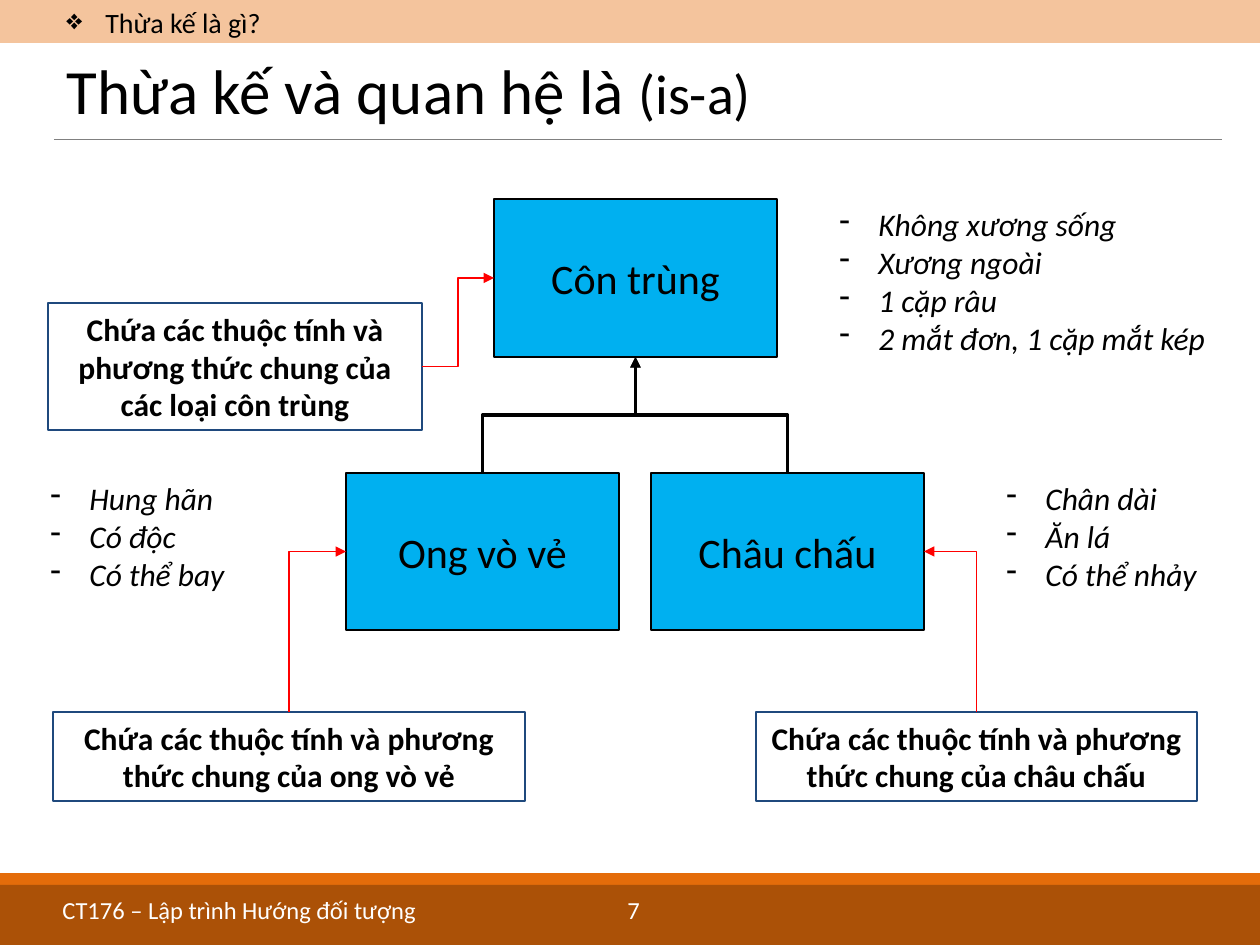
from dataclasses import dataclass
from typing import Optional

from lxml.etree import SubElement
from pptx import Presentation
from pptx.dml.color import RGBColor
from pptx.enum.shapes import MSO_CONNECTOR, MSO_SHAPE
from pptx.enum.text import MSO_ANCHOR, MSO_AUTO_SIZE, PP_ALIGN
from pptx.oxml.ns import qn
from pptx.util import Emu, Pt


@dataclass(frozen=True)
class Theme:
    font: str = "Calibri"
    black: str = "000000"
    white: str = "FFFFFF"
    orange: str = "E46C0A"
    brown: str = "984807"
    blue: str = "00B0F0"
    navy: str = "1F497D"
    red: str = "FF0000"
    gray: str = "808080"
    title: int = 36
    title_suffix: int = 32
    class_name: int = 24
    body: int = 18
    section: int = 16
    footer: int = 14


@dataclass(frozen=True)
class Rect:
    left: int
    top: int
    width: int
    height: int

    def emu(self) -> tuple:
        return px(self.left), px(self.top), px(self.width), px(self.height)


@dataclass(frozen=True)
class Node:
    name: str
    rect: Rect
    text: str
    is_note: bool = False


@dataclass(frozen=True)
class Link:
    start: str
    start_site: int
    end: str
    end_site: int
    color: str
    weight: int
    preset: str = "bentConnector3"


@dataclass(frozen=True)
class Listing:
    rect: Rect
    bullet: str
    items: tuple
    size: int
    italic: bool = True
    anchor: MSO_ANCHOR = MSO_ANCHOR.TOP


THEME = Theme()
TOP, LEFT, BOTTOM, RIGHT = range(4)
INDENT = 39

BANDS = (
    (Rect(0, 0, 1260, 43), THEME.orange, 40),
    (Rect(0, 873, 1260, 72), THEME.orange, 100),
    (Rect(0, 885, 1260, 60), THEME.brown, 75),
)
NODES = (
    Node("insect", Rect(494, 199, 283, 158), "Côn trùng"),
    Node("grasshopper", Rect(651, 473, 273, 157), "Châu chấu"),
    Node("wasp", Rect(346, 473, 273, 157), "Ong vò vẻ"),
    Node("insect note", Rect(48, 303, 374, 127),
         "Chứa các thuộc tính và phương thức chung của các loại côn trùng", True),
    Node("wasp note", Rect(53, 712, 472, 89),
         "Chứa các thuộc tính và phương thức chung của ong vò vẻ", True),
    Node("grasshopper note", Rect(756, 712, 441, 89),
         "Chứa các thuộc tính và phương thức chung của châu chấu", True),
)
LINKS = (
    Link("wasp", TOP, "insect", BOTTOM, THEME.black, 2),
    Link("grasshopper", TOP, "insect", BOTTOM, THEME.black, 2),
    Link("insect note", RIGHT, "insect", LEFT, THEME.red, 1),
    Link("wasp note", TOP, "wasp", LEFT, THEME.red, 1, "bentConnector2"),
    Link("grasshopper note", TOP, "grasshopper", RIGHT, THEME.red, 1, "bentConnector2"),
)
LISTINGS = (
    Listing(Rect(54, 2, 1082, 41), "❖", ("Thừa kế là gì?",),
            THEME.section, False, MSO_ANCHOR.MIDDLE),
    Listing(Rect(827, 199, 396, 165), "-",
            ("Không xương sống", "Xương ngoài", "1 cặp râu", "2 mắt đơn, 1 cặp mắt kép"),
            THEME.body),
    Listing(Rect(994, 473, 228, 127), "-", ("Chân dài", "Ăn lá", "Có thể nhảy"), THEME.body),
    Listing(Rect(38, 473, 228, 127), "-", ("Hung hãn", "Có độc", "Có thể bay"), THEME.body),
)


def px(length: int) -> Emu:
    return Emu(round(length * 914400 / 126))


def set_font(font, size: int, color: str = THEME.black, bold: bool = False,
             italic: bool = False) -> None:
    font.name, font.size, font.bold, font.italic = THEME.font, Pt(size), bold, italic
    font.color.rgb = RGBColor.from_string(color)


def add_rect(page, rect: Rect, fill: Optional[str], line: Optional[str] = None, alpha: int = 100):
    box = page.shapes.add_shape(MSO_SHAPE.RECTANGLE, *rect.emu())
    box.shadow.inherit = False
    if fill:
        box.fill.solid()
        box.fill.fore_color.rgb = RGBColor.from_string(fill)
        if alpha < 100:
            color = box.fill._xPr.find(qn("a:solidFill"))[0]
            SubElement(color, qn("a:alpha"), val=str(alpha * 1000))
    else:
        box.fill.background()
    if line:
        box.line.color.rgb = RGBColor.from_string(line)
        box.line.width = Pt(0.75)
    else:
        box.line.fill.background()
    return box


def add_node(page, node: Node):
    fill, line = (None, THEME.navy) if node.is_note else (THEME.blue, THEME.black)
    box = add_rect(page, node.rect, fill, line)
    frame = box.text_frame
    frame.word_wrap = node.is_note
    frame.vertical_anchor = MSO_ANCHOR.MIDDLE
    if node.is_note:
        frame.auto_size = MSO_AUTO_SIZE.SHAPE_TO_FIT_TEXT
    para = frame.paragraphs[0]
    para.text, para.alignment = node.text, PP_ALIGN.CENTER
    set_font(para.font, THEME.body if node.is_note else THEME.class_name, bold=node.is_note)
    return box


def style_line(connector, color: str, weight: float) -> None:
    connector.line.color.rgb = RGBColor.from_string(color)
    connector.line.width = Pt(weight)
    SubElement(connector._element.spPr, qn("a:effectLst"))


def add_link(page, link: Link, boxes: dict) -> None:
    """Glue an elbow arrow; one leaving a top edge is turned to run upwards first."""
    connector = page.shapes.add_connector(MSO_CONNECTOR.ELBOW, 0, 0, 0, 0)
    connector.begin_connect(boxes[link.start], link.start_site)
    connector.end_connect(boxes[link.end], link.end_site)
    properties = connector._element.spPr
    properties.find(qn("a:prstGeom")).set("prst", link.preset)
    if link.start_site == TOP:
        goes_left = connector.end_x < connector.begin_x
        left, top, width, height = connector.left, connector.top, connector.width, connector.height
        connector.left = Emu(left + (width - height) // 2)
        connector.top = Emu(top + (height - width) // 2)
        connector.width, connector.height = height, width
        turn = properties.find(qn("a:xfrm"))
        turn.set("rot", str(270 * 60000))
        turn.set("flipH", "0")
        turn.set("flipV", str(int(goes_left)))
    style_line(connector, link.color, link.weight)
    SubElement(connector.line._get_or_add_ln(), qn("a:tailEnd"), type="triangle")


def add_listing(page, listing: Listing) -> None:
    frame = page.shapes.add_textbox(*listing.rect.emu()).text_frame
    frame.word_wrap, frame.vertical_anchor = True, listing.anchor
    for index, item in enumerate(listing.items):
        para = frame.add_paragraph() if index else frame.paragraphs[0]
        para.text = item
        properties = para._p.get_or_add_pPr()
        properties.set("marL", str(px(INDENT)))
        properties.set("indent", str(-px(INDENT)))
        SubElement(properties, qn("a:buChar"), char=listing.bullet)
        set_font(para.font, listing.size, italic=listing.italic)


def add_title(page) -> None:
    title = page.shapes.title
    title.left, title.top, title.width, title.height = Rect(54, 50, 1168, 88).emu()
    frame = title.text_frame
    frame.vertical_anchor, frame.auto_size = MSO_ANCHOR.MIDDLE, MSO_AUTO_SIZE.NONE
    para = frame.paragraphs[0]
    para.alignment, para.line_spacing = PP_ALIGN.LEFT, 0.9
    for text, size in (("Thừa kế và quan hệ là ", THEME.title), ("(is-a)", THEME.title_suffix)):
        span = para.add_run()
        span.text = text
        set_font(span.font, size)


def add_footer(page) -> None:
    frame = page.shapes.add_textbox(*Rect(50, 892, 1172, 35).emu()).text_frame
    frame.word_wrap, frame.vertical_anchor = True, MSO_ANCHOR.MIDDLE
    para = frame.paragraphs[0]
    para.text = "CT176 – Lập trình Hướng đối tượng\t7"
    tabs = SubElement(para._p.get_or_add_pPr(), qn("a:tabLst"))
    SubElement(tabs, qn("a:tab"), pos=str(px(565)), algn="l")
    set_font(para.font, THEME.footer, THEME.white)


def main() -> None:
    deck = Presentation()
    deck.slide_width, deck.slide_height = px(1260), px(945)
    page = deck.slides.add_slide(deck.slide_layouts[5])
    for rect, color, alpha in BANDS:
        add_rect(page, rect, color, alpha=alpha)
    rule = page.shapes.add_connector(MSO_CONNECTOR.STRAIGHT, px(54), px(139), px(1222), px(139))
    style_line(rule, THEME.gray, 0.5)
    add_footer(page)
    add_title(page)
    boxes = {node.name: add_node(page, node) for node in NODES}
    for link in LINKS:
        add_link(page, link, boxes)
    for listing in LISTINGS:
        add_listing(page, listing)
    deck.save("out.pptx")


if __name__ == "__main__":
    main()
